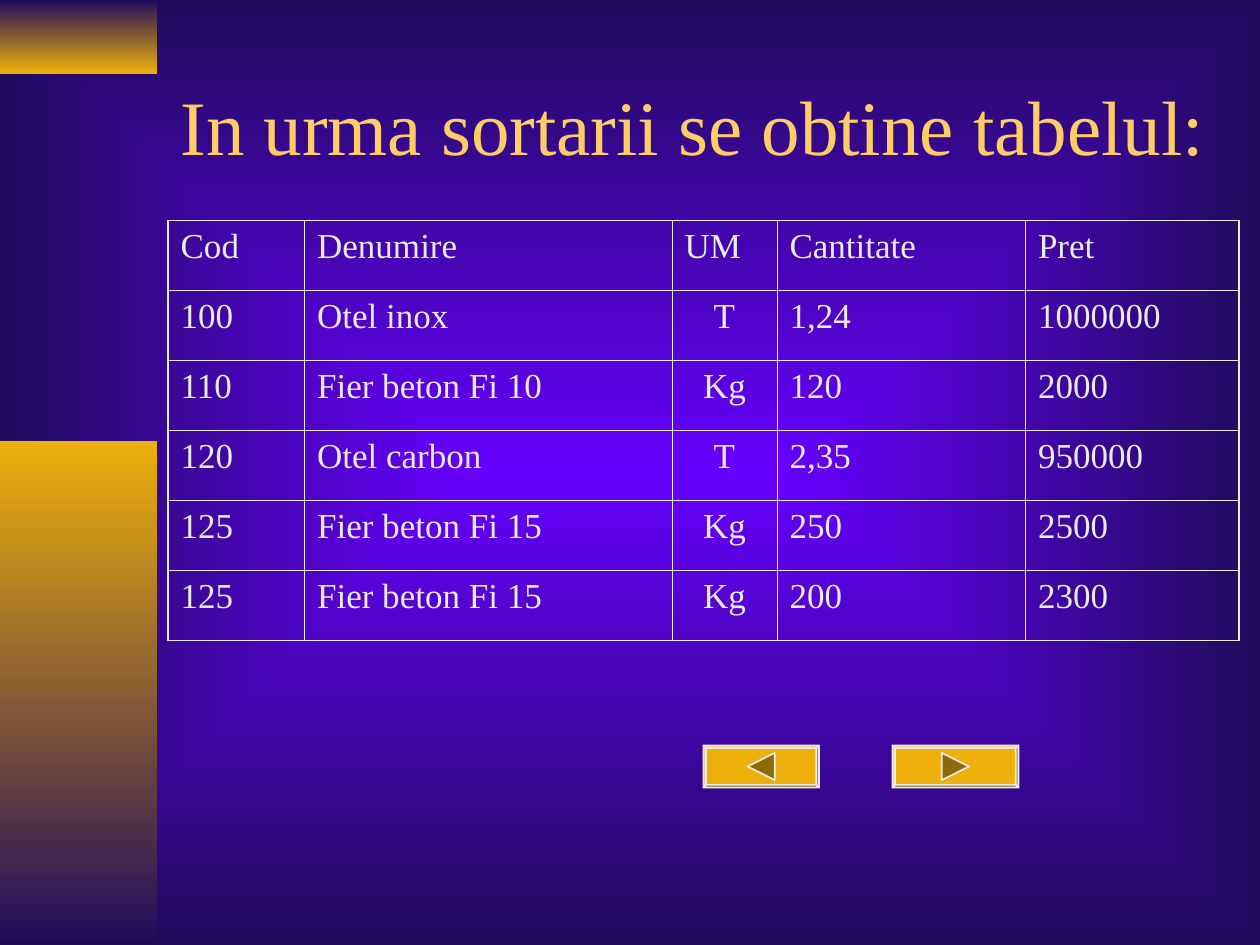
from dataclasses import dataclass

from lxml import etree
from pptx import Presentation
from pptx.dml.color import RGBColor
from pptx.enum import shapes, text
from pptx.oxml import ns
from pptx.util import Pt


@dataclass(frozen=True)
class Theme:
    """Colours, font and sizes of the slide."""
    centre: str = "6600FF"
    edge: str = "200B5B"
    gold: str = "EEB00B"
    title: str = "FFCC66"
    body: str = "EAEAEA"
    font: str = "Times New Roman"
    title_size: float = 44
    body_size: float = 20
    outer_border: float = 1.08
    inner_border: float = 0.45


THEME = Theme()
COLUMN_WIDTHS = [78, 210, 60, 142, 122]
ROW_HEIGHT = 40
UNIT_COLUMN = 2
ROWS = [
    ["Cod", "Denumire", "UM", "Cantitate", "Pret"],
    ["100", "Otel inox", "T", "1,24", "1000000"],
    ["110", "Fier beton Fi 10", "Kg", "120", "2000"],
    ["120", "Otel carbon", "T", "2,35", "950000"],
    ["125", "Fier beton Fi 15", "Kg", "250", "2500"],
    ["125", "Fier beton Fi 15", "Kg", "200", "2300"],
]


def set_gradient(fill, first, last):
    """Fill from the first colour at the top to the last at the bottom."""
    fill.gradient()
    fill.gradient_angle = 270
    for stop, colour in zip(fill.gradient_stops, (first, last)):
        stop.color.rgb = RGBColor.from_string(colour)


def set_background(slide):
    """Give the slide a gradient that spreads from its centre."""
    set_gradient(slide.background.fill, THEME.centre, THEME.edge)
    linear = slide.element.find(".//" + ns.qn("a:lin"))
    radial = etree.Element(ns.qn("a:path"), {"path": "rect"})
    sides = dict.fromkeys("ltrb", "50000")
    etree.SubElement(radial, ns.qn("a:fillToRect"), sides)
    linear.getparent().replace(linear, radial)


def write_text(frame, content, *, size, colour, align=text.PP_ALIGN.LEFT):
    """Write one formatted paragraph into a text frame."""
    paragraph = frame.paragraphs[0]
    paragraph.text = content
    paragraph.alignment = align
    paragraph.font.name = THEME.font
    paragraph.font.size = Pt(size)
    paragraph.font.color.rgb = RGBColor.from_string(colour)


def add_band(slide, top, height, first, last):
    """Add a gradient band at the left edge."""
    shape = slide.shapes.add_shape(
        shapes.MSO_SHAPE.RECTANGLE, Pt(0), Pt(top), Pt(90), Pt(height))
    shape.shadow.inherit = False
    shape.line.fill.background()
    set_gradient(shape.fill, first, last)


def add_title(slide, content):
    """Add the slide title."""
    shape = slide.shapes.add_textbox(Pt(96), Pt(24), Pt(612), Pt(95))
    shape.text_frame.word_wrap = True
    shape.text_frame.vertical_anchor = text.MSO_ANCHOR.MIDDLE
    write_text(shape.text_frame, content, size=THEME.title_size, colour=THEME.title)


def set_borders(cell, outer_sides):
    """Draw the four borders of a cell, heavier on its outer sides."""
    properties = cell._tc.get_or_add_tcPr()
    for side in "LRTB":
        width = THEME.outer_border if side in outer_sides else THEME.inner_border
        line = etree.SubElement(
            properties, ns.qn(f"a:ln{side}"), {"w": str(Pt(width))})
        fill = etree.SubElement(line, ns.qn("a:solidFill"))
        etree.SubElement(fill, ns.qn("a:srgbClr"), {"val": THEME.body})


def add_price_table(slide):
    """Add the sorted table of materials."""
    table = slide.shapes.add_table(
        len(ROWS), len(COLUMN_WIDTHS), Pt(96), Pt(126),
        Pt(sum(COLUMN_WIDTHS)), Pt(ROW_HEIGHT * len(ROWS))).table
    table.first_row = table.horz_banding = False
    for column, width in zip(table.columns, COLUMN_WIDTHS):
        column.width = Pt(width)
    last_row, last_column = len(ROWS) - 1, len(COLUMN_WIDTHS) - 1
    for i, values in enumerate(ROWS):
        table.rows[i].height = Pt(ROW_HEIGHT)
        for j, value in enumerate(values):
            cell = table.cell(i, j)
            centred = i > 0 and j == UNIT_COLUMN
            align = text.PP_ALIGN.CENTER if centred else text.PP_ALIGN.LEFT
            write_text(cell.text_frame, value, size=THEME.body_size,
                       colour=THEME.body, align=align)
            edges = {"L": j == 0, "R": j == last_column,
                     "T": i == 0, "B": i == last_row}
            set_borders(cell, [side for side, outer in edges.items() if outer])
            cell.fill.background()


def add_button(slide, left, width, direction):
    """Add a bevelled button with an arrow; direction is -1 back, 1 forward."""
    top, height, bevel, reach = 426, 24, 1.5, 7.8
    right, bottom = left + width, top + height
    middle_x, middle_y = left + width / 2, top + height / 2
    outer = [(left, top), (right, top), (right, bottom), (left, bottom)]
    inner = [(left + bevel, top + bevel), (right - bevel, top + bevel),
             (right - bevel, bottom - bevel), (left + bevel, bottom - bevel)]
    bevels = [[outer[i], outer[(i + 1) % 4], inner[(i + 1) % 4], inner[i]]
              for i in range(4)]
    back = middle_x - direction * reach
    arrow = [(back, middle_y - reach), (middle_x + direction * reach, middle_y),
             (back, middle_y + reach)]
    outlines = [[(Pt(x), Pt(y)) for x, y in outline]
                for outline in (outer, *bevels, arrow)]
    builder = slide.shapes.build_freeform(*outlines[0][0])
    builder.add_line_segments(outlines[0][1:])
    for outline in outlines[1:]:
        builder.move_to(*outline[0])
        builder.add_line_segments(outline[1:])
    shape = builder.convert_to_shape()
    shape.shadow.inherit = False
    shape.fill.solid()
    shape.fill.fore_color.rgb = RGBColor.from_string(THEME.gold)
    shape.line.color.rgb = RGBColor.from_string(THEME.body)
    shape.line.width = Pt(1)
    shade_outlines(shape)


def shade_outlines(shape):
    """Give each outline of a button its own shade of the fill."""
    combined = shape._element.find(".//" + ns.qn("a:path"))
    shades = iter(["norm", "lightenLess", "darkenLess", "darken", "lighten", "darken"])
    size = {key: combined.get(key) for key in "wh"}
    parent = combined.getparent()
    for step in list(combined):
        if step.tag == ns.qn("a:moveTo"):
            part = etree.SubElement(
                parent, ns.qn("a:path"), {**size, "fill": next(shades)})
        part.append(step)
        if step.getnext() is None and len(combined) == 0:
            parent.remove(combined)
    for part in parent:
        if part[-1].tag != ns.qn("a:close"):
            etree.SubElement(part, ns.qn("a:close"))


def main():
    """Build the slide and save it."""
    presentation = Presentation()
    presentation.slide_width, presentation.slide_height = Pt(720), Pt(540)
    slide = presentation.slides.add_slide(presentation.slide_layouts[6])
    set_background(slide)
    add_band(slide, 0, 42, THEME.edge, THEME.gold)
    add_band(slide, 252, 288, THEME.gold, THEME.edge)
    add_title(slide, "In urma sortarii se obtine tabelul:")
    add_price_table(slide)
    add_button(slide, 402, 66, -1)
    add_button(slide, 510, 72, 1)
    presentation.save("out.pptx")


if __name__ == "__main__":
    main()
